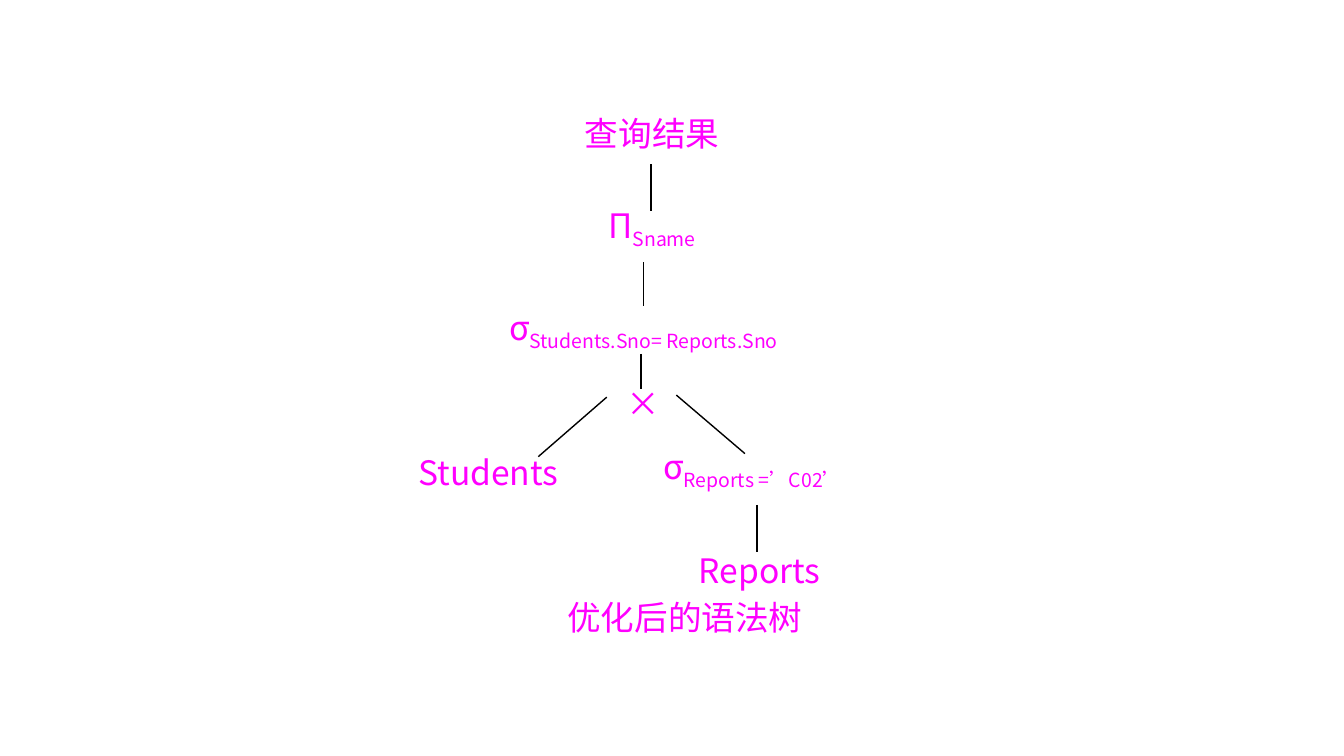
from lxml.etree import SubElement
from pptx import Presentation
from pptx.dml.color import RGBColor
from pptx.enum.shapes import MSO_CONNECTOR
from pptx.enum.text import MSO_ANCHOR, PP_ALIGN
from pptx.oxml.ns import qn
from pptx.util import Pt

COLORS = {"background": "FFFFFF", "text": "FF00FF", "branch": "000000"}
TOP = 0


class SyntaxTree:
    font_name = "Noto Sans CJK SC"
    font_size = 24
    row_height = 33.8

    def __init__(self, slide):
        self.slide = slide
        fill = slide.background.fill
        fill.solid()
        fill.fore_color.rgb = RGBColor.from_string(COLORS["background"])

    def run(self, paragraph, text, subscript=False):
        run = paragraph.add_run()
        run.text = text
        run.font.size = Pt(self.font_size)
        run.font.name = self.font_name
        run.font.color.rgb = RGBColor.from_string(COLORS["text"])
        properties = run.font._element
        SubElement(properties, qn("a:ea")).set("typeface", self.font_name)
        if subscript:
            properties.set("baseline", "-25000")

    def node(self, left, top, width, text, subscript="", align=PP_ALIGN.CENTER):
        shape = self.slide.shapes.add_textbox(
            Pt(left), Pt(top), Pt(width), Pt(self.row_height))
        frame = shape.text_frame
        frame.word_wrap = True
        frame.vertical_anchor = MSO_ANCHOR.TOP
        frame.margin_left = frame.margin_right = 0
        frame.margin_top = frame.margin_bottom = 0
        paragraph = frame.paragraphs[0]
        paragraph.alignment = align
        self.run(paragraph, text)
        if subscript:
            self.run(paragraph, subscript, subscript=True)
        return shape

    def branch(self, x1, y1, x2, y2, child=None):
        line = self.slide.shapes.add_connector(
            MSO_CONNECTOR.STRAIGHT, Pt(x1), Pt(y1), Pt(x2), Pt(y2))
        line.line.color.rgb = RGBColor.from_string(COLORS["branch"])
        line.line.width = Pt(1)
        SubElement(line._element.spPr, qn("a:effectLst"))
        if child is not None:
            line.end_connect(child, TOP)


def main():
    presentation = Presentation()
    presentation.slide_width = Pt(960)
    presentation.slide_height = Pt(540)
    slide = presentation.slides.add_slide(presentation.slide_layouts[6])
    tree = SyntaxTree(slide)

    # Operators and relations, from the root down
    tree.node(393.1, 80.6, 145.4, "查询结果")
    tree.node(393.1, 146.2, 145.4, "Π", "Sname")
    join_condition = tree.node(313.9, 218.9, 291.6, "σ", "Students.Sno= Reports.Sno")
    tree.node(435.6, 273.6, 48.2, "×")
    tree.node(298.8, 322.6, 118.8, "Students", align=PP_ALIGN.LEFT)
    tree.node(440.6, 318.2, 194.4, "σ", "Reports =’C02’")
    tree.node(474.5, 393.1, 136.1, "Reports")

    # Caption
    tree.node(319, 426.2, 340.5, "优化后的语法树")

    # Branches
    tree.branch(465.1, 117.4, 465.1, 150.5)
    tree.branch(459.7, 187.2, 459.7, 221, join_condition)
    tree.branch(457.9, 252.7, 457.9, 277.9)
    tree.branch(433.4, 283.7, 384.5, 326.2)
    tree.branch(483.1, 282.2, 532.1, 324)
    tree.branch(540.7, 360.7, 540.7, 394.6)

    presentation.save("out.pptx")


if __name__ == "__main__":
    main()
